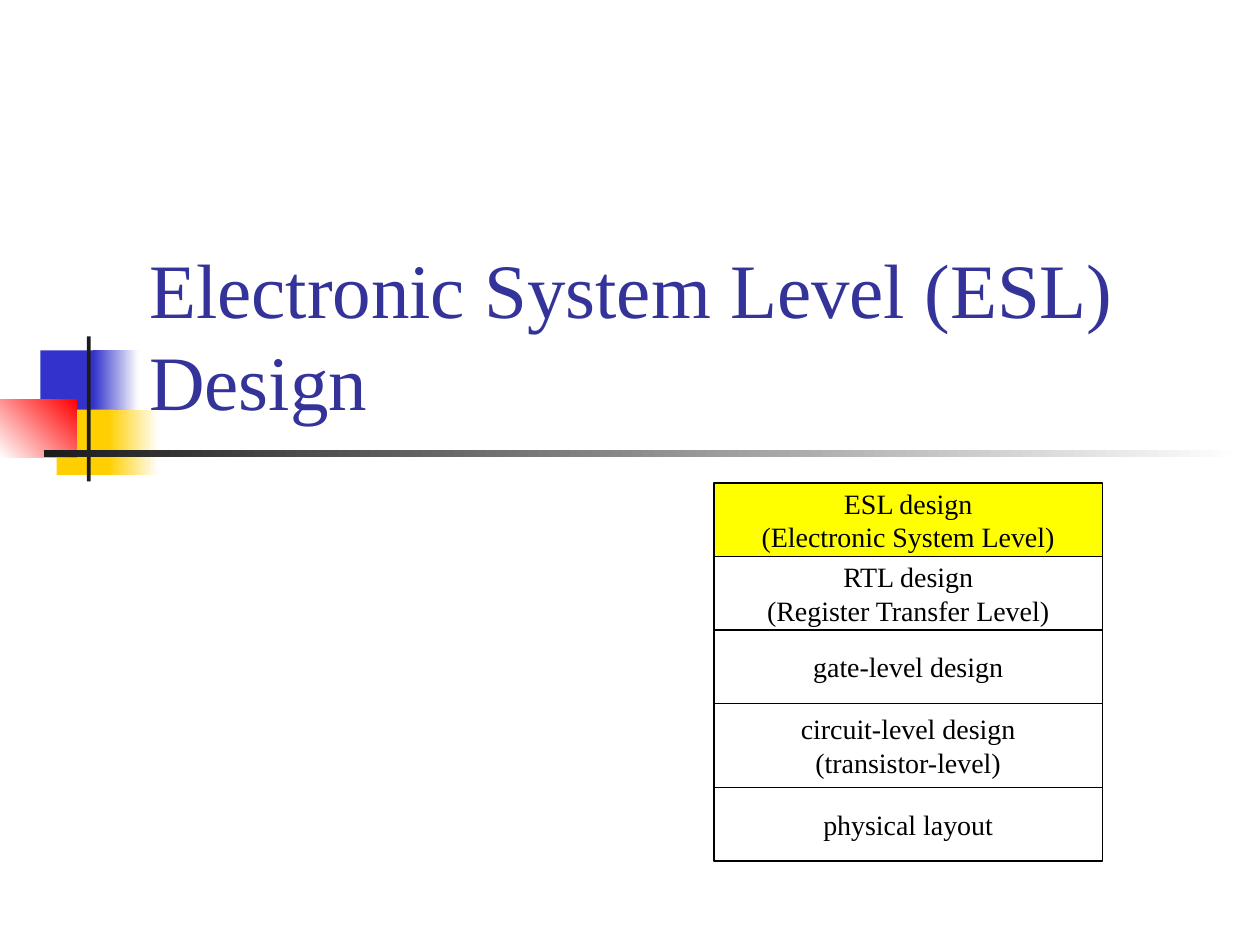
"""Build the section slide that opens Electronic System Level design."""
from dataclasses import dataclass

import pptx
import pptx.dml.color
import pptx.enum.shapes
import pptx.enum.text
import pptx.util

CELLS_PER_INCH = 12


@dataclass(frozen=True)
class Theme:
    """Colours, font and type sizes of the slide."""

    blue: str = "3333CC"
    yellow: str = "FFCF01"
    red: str = "FF0000"
    charcoal: str = "1C1C1C"
    white: str = "FFFFFF"
    black: str = "000000"
    highlight: str = "FFFF00"
    title_colour: str = "333399"
    font: str = "Times New Roman"
    title_size: int = 44
    level_size: int = 16
    line_width: float = 0.75


@dataclass(frozen=True)
class Box:
    """An area of the slide measured in grid columns and rows."""

    column: float
    row: float
    columns: float
    rows: float

    def inner_box(self, column, row, columns, rows):
        """Return a box placed relative to this one."""
        return Box(self.column + column, self.row + row, columns, rows)

    def lengths(self):
        """Return left, top, width and height as slide lengths."""
        cells = (self.column, self.row, self.columns, self.rows)
        return [pptx.util.Inches(cell / CELLS_PER_INCH) for cell in cells]


THEME = Theme()


def rgb(colour):
    """Return the colour object for a hexadecimal value."""
    return pptx.dml.color.RGBColor.from_string(colour)


def apply_formats(target, formats):
    """Set each attribute in a dict of format values."""
    for name, value in formats.items():
        setattr(target, name, value)


def format_font(font, size, colour):
    """Give a font the theme typeface with a size and colour."""
    apply_formats(font, {"name": THEME.font, "size": pptx.util.Pt(size)})
    font.color.rgb = rgb(colour)


def add_rectangle(shapes, box):
    """Add a rectangle without shadow."""
    kind = pptx.enum.shapes.MSO_SHAPE.RECTANGLE
    shape = shapes.add_shape(kind, *box.lengths())
    shape.shadow.inherit = False
    return shape


def fill_shape(fill, colours, angle=0):
    """Fill with one colour, or with a gradient between two."""
    if len(colours) == 1:
        fill.solid()
        fill.fore_color.rgb = rgb(colours[0])
        return
    fill.gradient()
    fill.gradient_angle = angle
    for stop, colour, position in zip(fill.gradient_stops, colours, (0, 1)):
        stop.color.rgb = rgb(colour)
        stop.position = position


def add_motif(slide, box):
    """Draw the overlapping colour blocks and the crossing bars."""
    blocks = (
        ((3.84, 1.32, 5.76, 6.24), (THEME.blue,), 0),
        ((8.88, 1.32, 4.32, 6.24), (THEME.blue, THEME.white), 0),
        ((5.4, 6.96, 5.52, 6.24), (THEME.yellow,), 0),
        ((10.32, 6.96, 4.8, 6.24), (THEME.yellow, THEME.white), 0),
        ((0, 6, 7.32, 5.52), (THEME.white, THEME.red), 45),
        ((8.28, 0, 0.36, box.rows), (THEME.charcoal,), 0),
        ((4.2, 10.8, 114.12, 0.72), (THEME.charcoal, THEME.white), 0),
    )
    group = slide.shapes.add_group_shape()
    for place, colours, angle in blocks:
        shape = add_rectangle(group.shapes, box.inner_box(*place))
        fill_shape(shape.fill, colours, angle)
        shape.line.fill.background()


def add_title(slide, box, text):
    """Place the title placeholder in front of the motif."""
    title = slide.shapes.title
    names = ("left", "top", "width", "height")
    apply_formats(title, dict(zip(names, box.lengths())))
    apply_formats(title.text_frame, {
        "text": text,
        "word_wrap": True,
        "auto_size": pptx.enum.text.MSO_AUTO_SIZE.NONE,
        "vertical_anchor": pptx.enum.text.MSO_ANCHOR.BOTTOM,
    })
    paragraph = title.text_frame.paragraphs[0]
    paragraph.alignment = pptx.enum.text.PP_ALIGN.LEFT
    format_font(paragraph.font, THEME.title_size, THEME.title_colour)
    title.element.getparent().append(title.element)


def add_level(shapes, box, text, highlighted):
    """Draw one design level as a bordered rectangle."""
    shape = add_rectangle(shapes, box)
    if highlighted:
        fill_shape(shape.fill, (THEME.highlight,))
    else:
        shape.fill.background()
    shape.line.color.rgb = rgb(THEME.black)
    shape.line.width = pptx.util.Pt(THEME.line_width)
    apply_formats(shape.text_frame, {
        "text": text,
        "word_wrap": False,
        "vertical_anchor": pptx.enum.text.MSO_ANCHOR.MIDDLE,
    })
    for paragraph in shape.text_frame.paragraphs:
        paragraph.alignment = pptx.enum.text.PP_ALIGN.CENTER
        format_font(paragraph.font, THEME.level_size, THEME.black)


def add_level_stack(slide, box):
    """Stack the design levels from abstract to physical."""
    levels = (
        ("ESL design\n(Electronic System Level)", 7),
        ("RTL design\n(Register Transfer Level)", 7),
        ("gate-level design", 7),
        ("circuit-level design\n(transistor-level)", 8),
        ("physical layout", 7),
    )
    group = slide.shapes.add_group_shape()
    row = 0
    for text, rows in levels:
        place = box.inner_box(0, row, box.columns, rows)
        add_level(group.shapes, place, text, highlighted=row == 0)
        row += rows


def main():
    """Build and save the presentation."""
    presentation = pptx.Presentation()
    presentation.slide_width = pptx.util.Inches(10)
    presentation.slide_height = pptx.util.Inches(7.5)
    slide = presentation.slides.add_slide(presentation.slide_layouts[5])
    add_motif(slide, Box(0, 32.04, 118.32, 13.8))
    add_title(slide, Box(13, 22, 102, 19.2), "Electronic System Level (ESL) Design")
    add_level_stack(slide, Box(68, 46, 37, 36))
    presentation.save("out.pptx")


if __name__ == "__main__":
    main()
